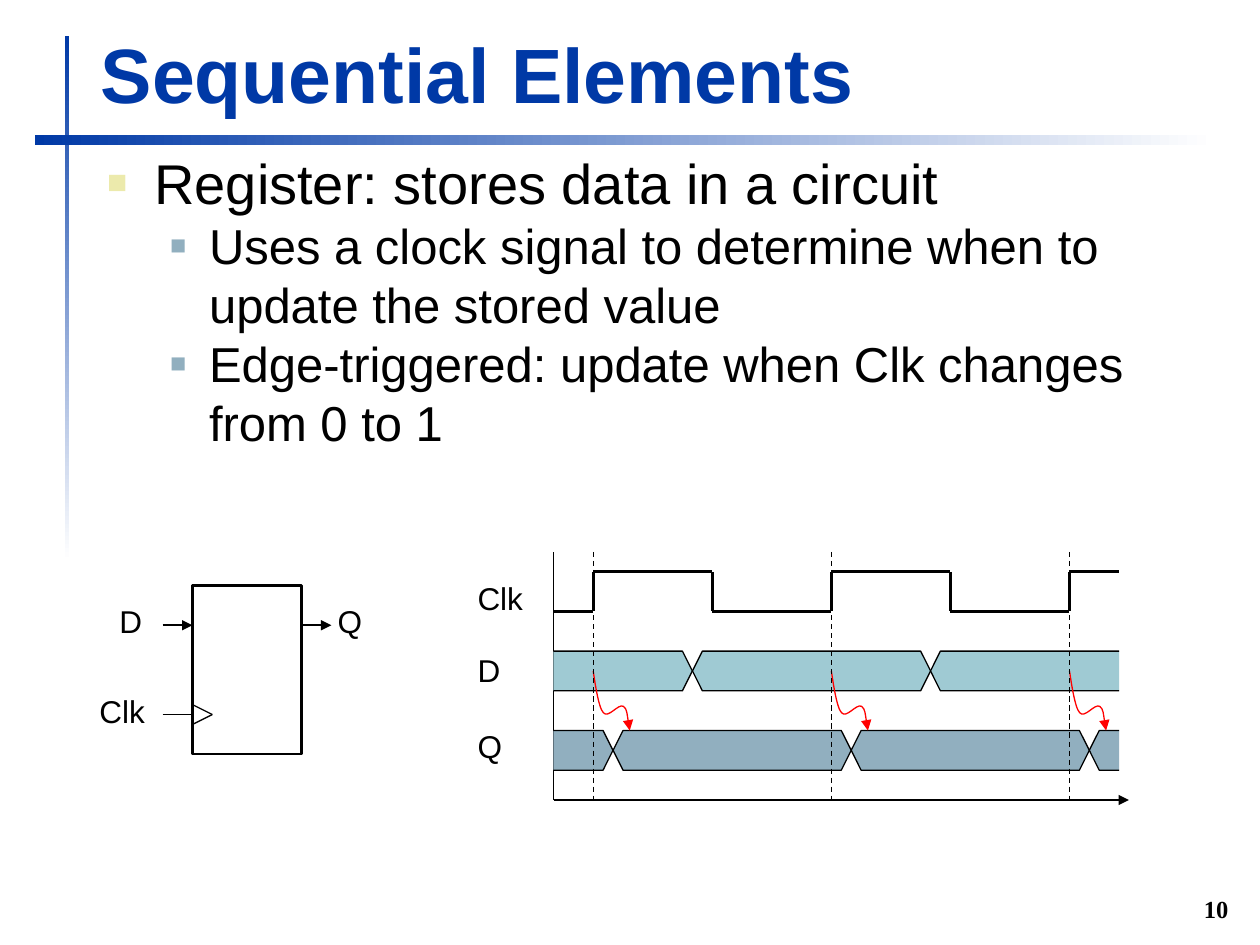
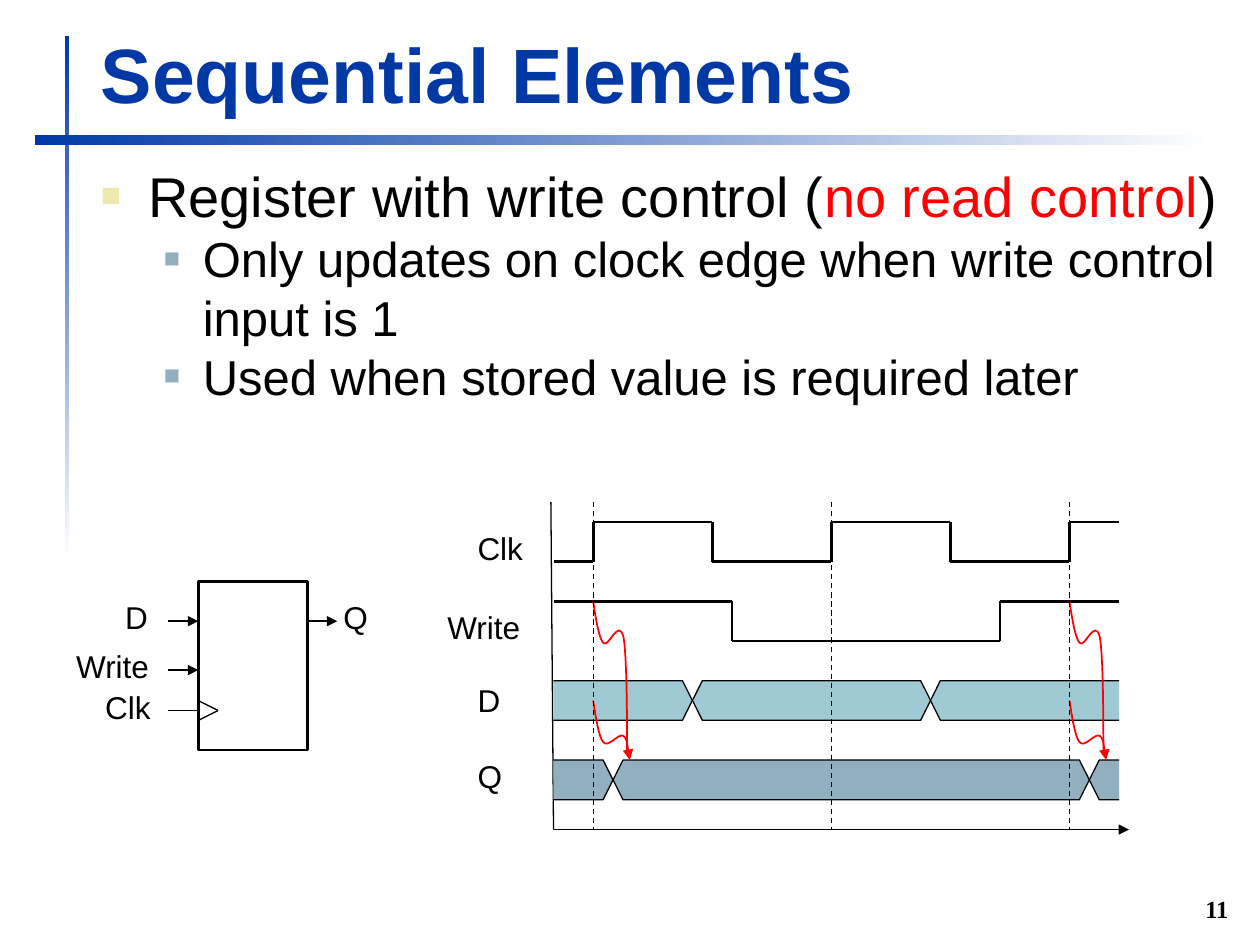
from dataclasses import dataclass

from lxml import etree
from pptx import Presentation
from pptx.dml.color import RGBColor
from pptx.enum.dml import MSO_LINE
from pptx.enum.shapes import MSO_CONNECTOR, MSO_SHAPE
from pptx.enum.text import MSO_ANCHOR, PP_ALIGN
from pptx.oxml.ns import qn
from pptx.util import Pt

BLACK = RGBColor(0x00, 0x00, 0x00)
WHITE = RGBColor(0xFF, 0xFF, 0xFF)
BLUE = RGBColor(0x00, 0x39, 0xA6)
RED = RGBColor(0xFF, 0x00, 0x00)
DATA_FILL = RGBColor(0x9F, 0xCA, 0xD3)
OUTPUT_FILL = RGBColor(0x91, 0xAF, 0xBF)
BULLET_SAND = RGBColor(0xEC, 0xEA, 0xAC)

RECTANGLE = MSO_SHAPE.RECTANGLE
STRAIGHT = MSO_CONNECTOR.STRAIGHT
DASH = MSO_LINE.DASH
TOP, BOTTOM = MSO_ANCHOR.TOP, MSO_ANCHOR.BOTTOM
LEFT, RIGHT = PP_ALIGN.LEFT, PP_ALIGN.RIGHT

# All diagrams lie on this grid; lengths are points
UNIT = 5.67
START = 316.3
END = START + 57 * UNIT
CLOCK_EDGES = [START + units * UNIT for units in (4, 28, 52)]
HALF_PERIOD = 12 * UNIT
LEVEL = 4 * UNIT
LABEL_WIDTHS = {"D": 20.9, "Q": 22.3, "Clk": 33.8, "Write": 49.7}

# Bezier control points, relative to where a red arrow starts
DATA_CURVE = [(0.7, 4.3), (2.9, 20.9), (5.8, 23.8), (8.6, 27.4), (14.4, 18.4),
              (17.3, 20.2), (19.4, 21.6), (20.2, 31), (20.9, 34)]
WRITE_CURVE = [(0.7, 4.3), (2.9, 20.9), (5.8, 23.8), (8.6, 27.4), (14.4, 9.4),
               (17.3, 20.2), (19.4, 30.2), (19.4, 72.7), (19.4, 86)]


@dataclass(frozen=True)
class Bullet:
    size: float
    margin: float
    hanging: float
    colour: RGBColor
    percent: int
    space_before: float = 0


@dataclass(frozen=True)
class Pin:
    name: str
    label_offset: float
    y: float
    width: float = 1
    arrow: bool = True


@dataclass(frozen=True)
class Lesson:
    number: str
    body: tuple[float, float, float, float]
    paragraphs: list
    symbol: tuple[float, float]
    pins: list[Pin]
    top: float
    axis_lean: float
    write_row: bool
    update_edges: list[float]
    arrow_width: float


MAIN = Bullet(32, 27, 27, BULLET_SAND, 60, 7)
DETAIL = Bullet(28, 58.3, 22.3, OUTPUT_FILL, 55)

DATA_PIN = Pin("D", -45.4, 4 * UNIT)
WRITE_PIN = Pin("Write", -73.4, 50.6)
CLOCK_PIN = Pin("Clk", -56.8, 13 * UNIT, 0.75, False)

LESSONS = [
    Lesson("10", (57.6, 81.4, 645, 217.4),
           [(MAIN, [("Register: stores data in a circuit", BLACK)]),
            (DETAIL, [("Uses a clock signal to determine when to update the stored value", BLACK)]),
            (DETAIL, [("Edge-triggered: update when Clk changes from 0 to 1", BLACK)])],
           (110, 334.6), [DATA_PIN, CLOCK_PIN],
           315.4, 0, False, CLOCK_EDGES, 0.75),
    Lesson("11", (54, 88.6, 651.6, 181.4),
           [(MAIN, [("Register with write control (", BLACK), ("no read control", RED), (")", BLACK)]),
            (DETAIL, [("Only updates on clock edge when write control input is 1", BLACK)]),
            (DETAIL, [("Used when stored value is required later", BLACK)])],
           (113.3, 332.3), [DATA_PIN, WRITE_PIN, CLOCK_PIN],
           286.9, -1.5, True, CLOCK_EDGES[::2], 1),
]


def add_bullet(paragraph, bullet: Bullet) -> None:
    paragraph.space_before = Pt(bullet.space_before)
    properties = paragraph._p.get_or_add_pPr()
    properties.set("marL", str(Pt(bullet.margin)))
    properties.set("indent", str(-Pt(bullet.hanging)))
    colour = etree.SubElement(properties, qn("a:buClr"))
    etree.SubElement(colour, qn("a:srgbClr"), val=str(bullet.colour))
    etree.SubElement(properties, qn("a:buSzPct"), val=str(bullet.percent * 1000))
    etree.SubElement(properties, qn("a:buFont"), typeface="Arial")
    etree.SubElement(properties, qn("a:buChar"), char="■")


def add_run(paragraph, text: str, size: float, colour: RGBColor, font: str, bold: bool) -> None:
    run = paragraph.add_run()
    run.text = text
    run.font.size, run.font.name, run.font.bold = Pt(size), font, bold
    run.font.color.rgb = colour


def add_text(slide, text, left: float, top: float, width: float, height: float, *,
             size: float = 18, colour: RGBColor = BLACK, font: str = "Arial",
             bold: bool = False, align=LEFT, anchor=TOP, wrap: bool = False) -> None:
    """Text is a string, or a list of (bullet, runs) paragraphs."""
    frame = slide.shapes.add_textbox(Pt(left), Pt(top), Pt(width), Pt(height)).text_frame
    frame.word_wrap, frame.vertical_anchor = wrap, anchor
    frame.margin_left = frame.margin_right = Pt(3.6)
    frame.margin_top = frame.margin_bottom = Pt(3.6)
    paragraphs = [(None, [(text, colour)])] if isinstance(text, str) else text
    for index, (bullet, runs) in enumerate(paragraphs):
        paragraph = frame.add_paragraph() if index else frame.paragraphs[0]
        paragraph.alignment = align
        if bullet:
            add_bullet(paragraph, bullet)
        for words, run_colour in runs:
            add_run(paragraph, words, bullet.size if bullet else size, run_colour, font, bold)


def add_label(slide, name: str, left: float, top: float) -> None:
    add_text(slide, name, left, top, LABEL_WIDTHS[name], 27.4)


def style_line(shape, width: float, colour: RGBColor = BLACK, dash=None, arrow: bool = False) -> None:
    shape.line.color.rgb = colour
    shape.line.width = Pt(width)
    if dash:
        shape.line.dash_style = dash
    if arrow:
        line = shape.element.spPr.find(qn("a:ln"))
        etree.SubElement(line, qn("a:tailEnd"), type="triangle")


def add_line(slide, begin: tuple, end: tuple, width: float = 0.75, dash=None, arrow: bool = False) -> None:
    connector = slide.shapes.add_connector(STRAIGHT, *(Pt(value) for value in (*begin, *end)))
    style_line(connector, width, dash=dash, arrow=arrow)
    etree.SubElement(connector.element.spPr, qn("a:effectLst"))


def add_wave(slide, corners: list) -> None:
    for begin, end in zip(corners, corners[1:]):
        add_line(slide, begin, end, 1.5)


def add_outline(slide, points: list, close: bool = False):
    first, *rest = [(Pt(x), Pt(y)) for x, y in points]
    builder = slide.shapes.build_freeform(*first)
    builder.add_line_segments(rest, close=close)
    shape = builder.convert_to_shape()
    shape.shadow.inherit = False
    return shape


def add_bus(slide, top: float, crossings: list[float], fill: RGBColor) -> None:
    """Band of values, open at both ends and pinched at each crossing."""
    middle, bottom = top + LEVEL / 2, top + LEVEL
    limits = [START, *crossings, END]
    for left, right in zip(limits, limits[1:]):
        left_side = [(left + UNIT, bottom), (left, middle), (left + UNIT, top)]
        right_side = [(right - UNIT, top), (right, middle), (right - UNIT, bottom)]
        if left == START:
            points = [(left, top), *right_side, (left, bottom)]
        elif right == END:
            points = [(right, bottom), *left_side, (right, top)]
        else:
            points = left_side + right_side
        shape = add_outline(slide, points, close=left > START and right < END)
        shape.fill.solid()
        shape.fill.fore_color.rgb = fill
        style_line(shape, 0.75)


def add_curve(slide, x: float, y: float, offsets: list, width: float, arrow: bool) -> None:
    shape = add_outline(slide, [(x, y)] + [(x + dx, y + dy) for dx, dy in offsets])
    segments = list(shape.element.iter(qn("a:lnTo")))
    # Every three points become one Bezier segment
    for index in range(0, len(segments), 3):
        bezier = etree.Element(qn("a:cubicBezTo"))
        segments[index].addprevious(bezier)
        for segment in segments[index:index + 3]:
            bezier.append(segment[0])
            segment.getparent().remove(segment)
    shape.fill.background()
    style_line(shape, width, RED, arrow=arrow)


def add_gradient_band(slide, left: float, top: float, width: float, height: float, angle: float) -> None:
    band = slide.shapes.add_shape(RECTANGLE, Pt(left), Pt(top), Pt(width), Pt(height))
    band.shadow.inherit = False
    band.line.fill.background()
    band.fill.gradient()
    band.fill.gradient_angle = angle
    for stop, colour in zip(band.fill.gradient_stops, (WHITE, BLUE)):
        stop.color.rgb = colour


def add_frame(slide, number: str) -> None:
    add_gradient_band(slide, 37, 20.4, 2.6, 300, 90)
    add_gradient_band(slide, 19.8, 77, 674.6, 5.8, 180)
    add_text(slide, number, 665.6, 508.3, 40, 23, size=14, font="Times New Roman",
             bold=True, align=RIGHT, anchor=BOTTOM, wrap=True)
    add_text(slide, "Sequential Elements", 54, 11.5, 650, 59.8, size=44, colour=BLUE,
             bold=True, anchor=BOTTOM, wrap=True)


def add_register_symbol(slide, left: float, top: float, pins: list[Pin]) -> None:
    width, lead = 11 * UNIT, 3 * UNIT
    right = left + width
    box = slide.shapes.add_shape(RECTANGLE, Pt(left), Pt(top), Pt(width), Pt(17 * UNIT))
    box.shadow.inherit = False
    box.fill.background()
    style_line(box, 1.5)
    # Inputs
    for pin in pins:
        y = top + pin.y
        add_line(slide, (left - lead, y), (left, y), pin.width, arrow=pin.arrow)
        add_label(slide, pin.name, left + pin.label_offset, y - 16.6)
    # Output
    y = top + DATA_PIN.y
    add_line(slide, (right, y), (right + lead, y), 1, arrow=True)
    add_label(slide, "Q", right + lead, y - 16.6)
    # Clock wedge
    y = top + CLOCK_PIN.y
    for side in (-UNIT, UNIT):
        add_line(slide, (left, y + side), (left + 2 * UNIT, y))


def add_timing_diagram(slide, lesson: Lesson) -> None:
    top = lesson.top
    clock_top = top + 2 * UNIT
    write_top = top + 10 * UNIT
    data_top = write_top + (8 * UNIT if lesson.write_row else 0)
    output_top = data_top + 8 * UNIT
    bottom = output_top + 7 * UNIT

    # Clock
    high, low = clock_top, clock_top + LEVEL
    corners = [(START, low)]
    for edge in CLOCK_EDGES:
        corners += [(edge, low), (edge, high)]
        fall = edge + HALF_PERIOD
        corners += [(fall, high), (fall, low)] if fall < END else [(END, high)]
    add_wave(slide, corners)
    add_label(slide, "Clk", 269.3, clock_top + 0.4)

    # Write control
    if lesson.write_row:
        high, low = write_top, write_top + LEVEL
        fall, rise = START + 18 * UNIT, START + 45 * UNIT
        add_wave(slide, [(START, high), (fall, high), (fall, low), (rise, low), (rise, high), (END, high)])
        add_label(slide, "Write", 252, write_top + 0.4)

    # Axes
    add_line(slide, (START, bottom), (END + UNIT, bottom), arrow=True)
    add_line(slide, (START, bottom), (START + lesson.axis_lean, top))

    # Data and output
    add_bus(slide, data_top, [edge + 10 * UNIT for edge in CLOCK_EDGES[:2]], DATA_FILL)
    add_bus(slide, output_top, [edge + 2 * UNIT for edge in lesson.update_edges], OUTPUT_FILL)
    add_label(slide, "D", 269.3, data_top - 3.4)
    add_label(slide, "Q", 269.3, output_top - 5.4)

    # Causes of each update
    for edge in lesson.update_edges:
        add_curve(slide, edge, data_top + LEVEL / 2, DATA_CURVE, lesson.arrow_width, True)
        if lesson.write_row:
            add_curve(slide, edge, write_top, WRITE_CURVE, lesson.arrow_width, False)
    for edge in CLOCK_EDGES:
        add_line(slide, (edge, top), (edge, bottom), dash=DASH)


def main() -> None:
    presentation = Presentation()
    presentation.slide_width, presentation.slide_height = Pt(720), Pt(540)
    for lesson in LESSONS:
        slide = presentation.slides.add_slide(presentation.slide_layouts[6])
        add_frame(slide, lesson.number)
        add_text(slide, lesson.paragraphs, *lesson.body, wrap=True)
        add_register_symbol(slide, *lesson.symbol, lesson.pins)
        add_timing_diagram(slide, lesson)
    presentation.save("out.pptx")


if __name__ == "__main__":
    main()
